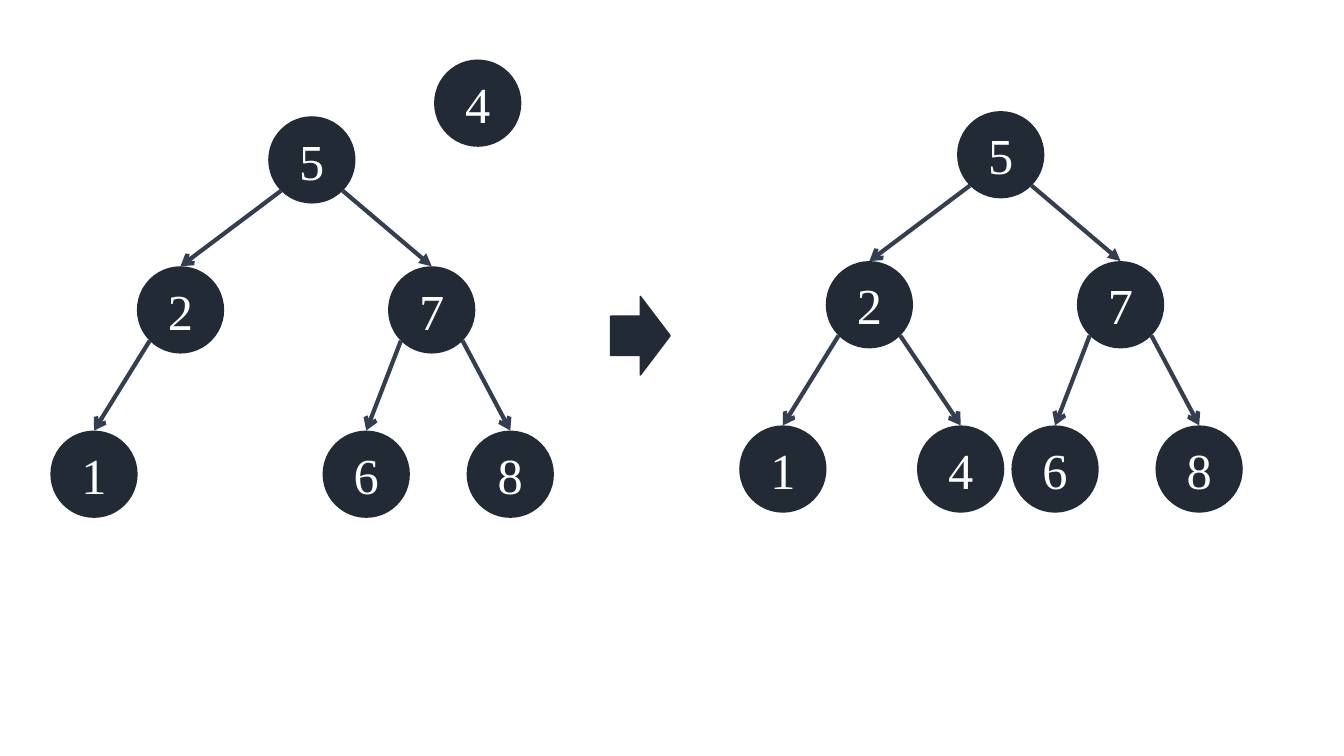
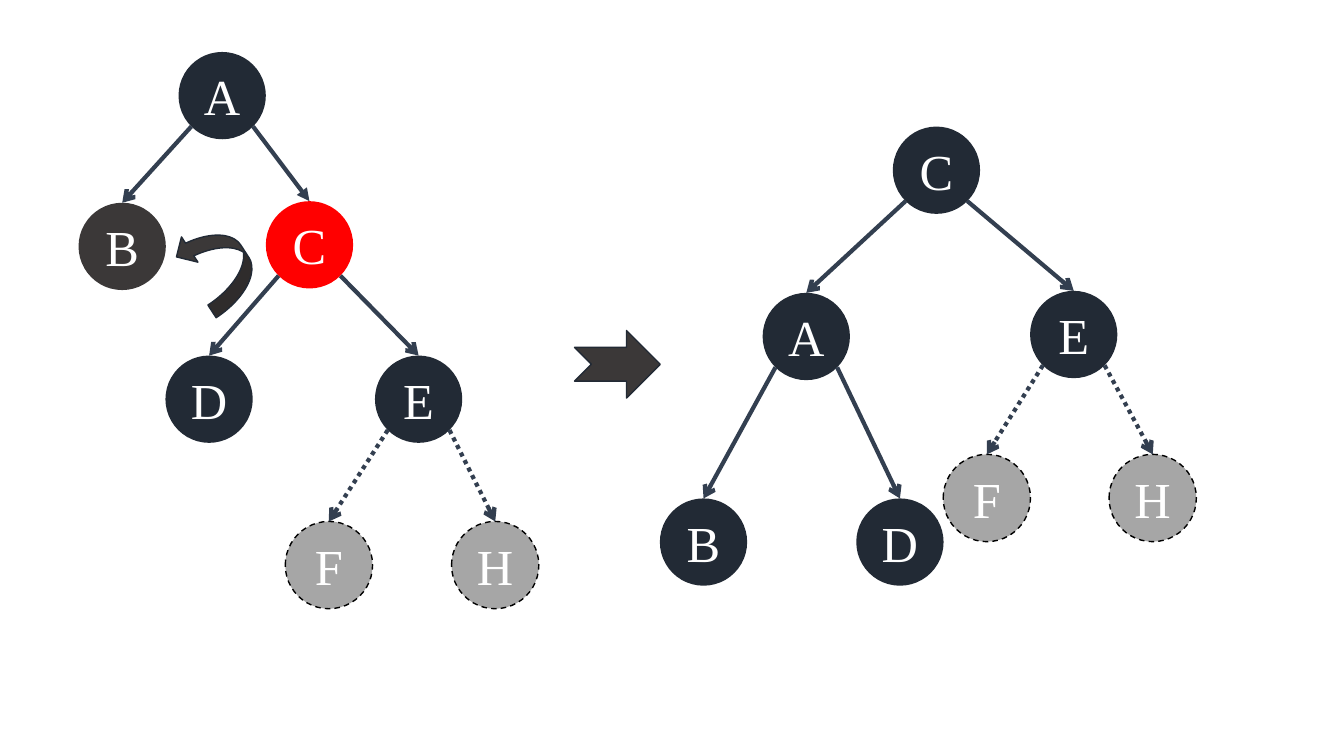
"""Builds two slides that show insertion into a search tree and a tree rotation."""
from dataclasses import dataclass
from math import sqrt

from lxml.etree import SubElement
from pptx import Presentation
from pptx.dml.color import RGBColor
from pptx.enum.dml import MSO_LINE as Dash
from pptx.enum.shapes import MSO_CONNECTOR as Connector, MSO_SHAPE as Shape
from pptx.enum.text import MSO_ANCHOR as Anchor, PP_ALIGN as Align
from pptx.oxml.ns import qn
from pptx.util import Cm, Pt

COLORS = {
    "node": "222A35",
    "edge": "333F50",
    "charcoal": "3B3838",
    "pivot": "FF0000",
    "optional": "A6A6A6",
    "dashes": "000000",
    "text": "FFFFFF",
}
FONT = "Times New Roman"
NODE_SIZE = 2.2
TOP_SITE, LOWER_LEFT_SITE, LOWER_RIGHT_SITE = 0, 3, 5


@dataclass
class Node:
    """A tree node, with its offset in cm from the corner of the tree's box."""
    label: str
    left: float
    top: float
    parent: str = ""
    color: str = "node"
    optional: bool = False
    head: str = "arrow"


SEARCH_TREE = [
    Node("5", 5.49, 0),
    Node("2", 2.18, 3.78, "5"),
    Node("7", 8.51, 3.78, "5", head="triangle"),
    Node("1", 0, 7.92, "2"),
    Node("6", 6.86, 7.92, "7"),
    Node("8", 10.49, 7.92, "7"),
]
INSERTED_TREE = SEARCH_TREE + [Node("4", 4.48, 7.92, "2")]

UNBALANCED_TREE = [
    Node("A", 2.52, 0),
    Node("B", 0, 3.8, "A", "charcoal"),
    Node("C", 4.72, 3.76, "A", "pivot", head="triangle"),
    Node("D", 2.19, 7.65, "C"),
    Node("E", 7.47, 7.65, "C"),
    Node("F", 5.21, 11.83, "E", "optional", True),
    Node("H", 9.4, 11.83, "E", "optional", True),
]
ROTATED_TREE = [
    Node("C", 5.87, 0),
    Node("A", 2.59, 4.19, "C"),
    Node("E", 9.33, 4.14, "C"),
    Node("B", 0, 9.37, "A"),
    Node("D", 4.95, 9.37, "A"),
    Node("F", 7.14, 8.26, "E", "optional", True),
    Node("H", 11.32, 8.26, "E", "optional", True),
]


def rgb(name):
    """Return the named colour."""
    return RGBColor.from_string(COLORS[name])


def write_text(shape, text, size=36, color="text", align=Align.CENTER):
    """Write one formatted paragraph in the middle of a shape."""
    frame = shape.text_frame
    frame.vertical_anchor = Anchor.MIDDLE
    para = frame.paragraphs[0]
    para.alignment = align
    span = para.add_run()
    span.text = text
    span.font.name = FONT
    span.font.size = Pt(size)
    span.font.color.rgb = rgb(color)


def add_filled(page, preset, left, top, width, height, fill, line=None):
    """Add a flat preset shape, with an outline if a line colour is given."""
    shape = page.shapes.add_shape(preset, Cm(left), Cm(top), Cm(width), Cm(height))
    shape.shadow.inherit = False
    shape.fill.solid()
    shape.fill.fore_color.rgb = rgb(fill)
    if line:
        shape.line.color.rgb = rgb(line)
        shape.line.width = Pt(1)
    else:
        shape.line.fill.background()
    return shape


def add_node(page, left, top, node):
    """Add a labelled circle, placed relative to the corner of its tree."""
    circle = add_filled(page, Shape.OVAL, left + node.left, top + node.top,
                        NODE_SIZE, NODE_SIZE, node.color,
                        "dashes" if node.optional else None)
    if node.optional:
        circle.line.dash_style = Dash.DASH
    write_text(circle, node.label)
    return circle


def add_edge(page, parent, child, node):
    """Join the lower side of a parent circle to the top of its child."""
    reach = parent.width / 2 / sqrt(2)
    goes_left = child.left < parent.left
    start_x = parent.left + parent.width / 2 + (-reach if goes_left else reach)
    start_y = parent.top + parent.height / 2 + reach
    edge = page.shapes.add_connector(
        Connector.STRAIGHT, round(start_x), round(start_y),
        child.left + child.width // 2, child.top)
    edge.line.color.rgb = rgb("edge")
    edge.line.width = Pt(3)
    if node.optional:
        edge.line.dash_style = Dash.ROUND_DOT
    SubElement(edge.line._get_or_add_ln(), qn("a:tailEnd"), type=node.head)
    SubElement(edge._element.spPr, qn("a:effectLst"))
    glue = edge._element.nvCxnSpPr.cNvCxnSpPr
    start_site = LOWER_LEFT_SITE if goes_left else LOWER_RIGHT_SITE
    for tag, circle, site in (("a:stCxn", parent, start_site),
                              ("a:endCxn", child, TOP_SITE)):
        SubElement(glue, qn(tag), id=str(circle.shape_id), idx=str(site))


def add_tree(page, left, top, nodes):
    """Draw a whole tree from the top left corner of its box."""
    circles = {node.label: add_node(page, left, top, node) for node in nodes}
    for node in nodes:
        if node.parent:
            add_edge(page, circles[node.parent], circles[node.label], node)


def build_insertion(page):
    """Show a search tree before and after a new value is inserted."""
    add_tree(page, 1.27, 2.93, SEARCH_TREE)
    add_node(page, 10.94, 1.5, Node("4", 0, 0))
    add_filled(page, Shape.RIGHT_ARROW, 15.39, 7.47, 1.5, 1.98, "node", "node")
    add_tree(page, 18.63, 2.8, INSERTED_TREE)


def build_rotation(page):
    """Show an unbalanced tree before and after a left rotation."""
    add_tree(page, 1.98, 1.31, UNBALANCED_TREE)
    turn = add_filled(page, Shape.CURVED_RIGHT_ARROW, 4.72, 5.56, 1.52, 2.21,
                      "charcoal", "node")
    turn.rotation = 146.9
    add_filled(page, Shape.NOTCHED_RIGHT_ARROW, 14.48, 8.33, 2.16, 1.7,
               "charcoal", "node")
    add_tree(page, 16.63, 3.19, ROTATED_TREE)


def main():
    """Build the deck and save it."""
    deck = Presentation()
    deck.slide_width, deck.slide_height = Cm(33.87), Cm(19.05)
    blank = deck.slide_layouts[6]
    for build in (build_insertion, build_rotation):
        build(deck.slides.add_slide(blank))
    deck.save("out.pptx")


if __name__ == "__main__":
    main()
